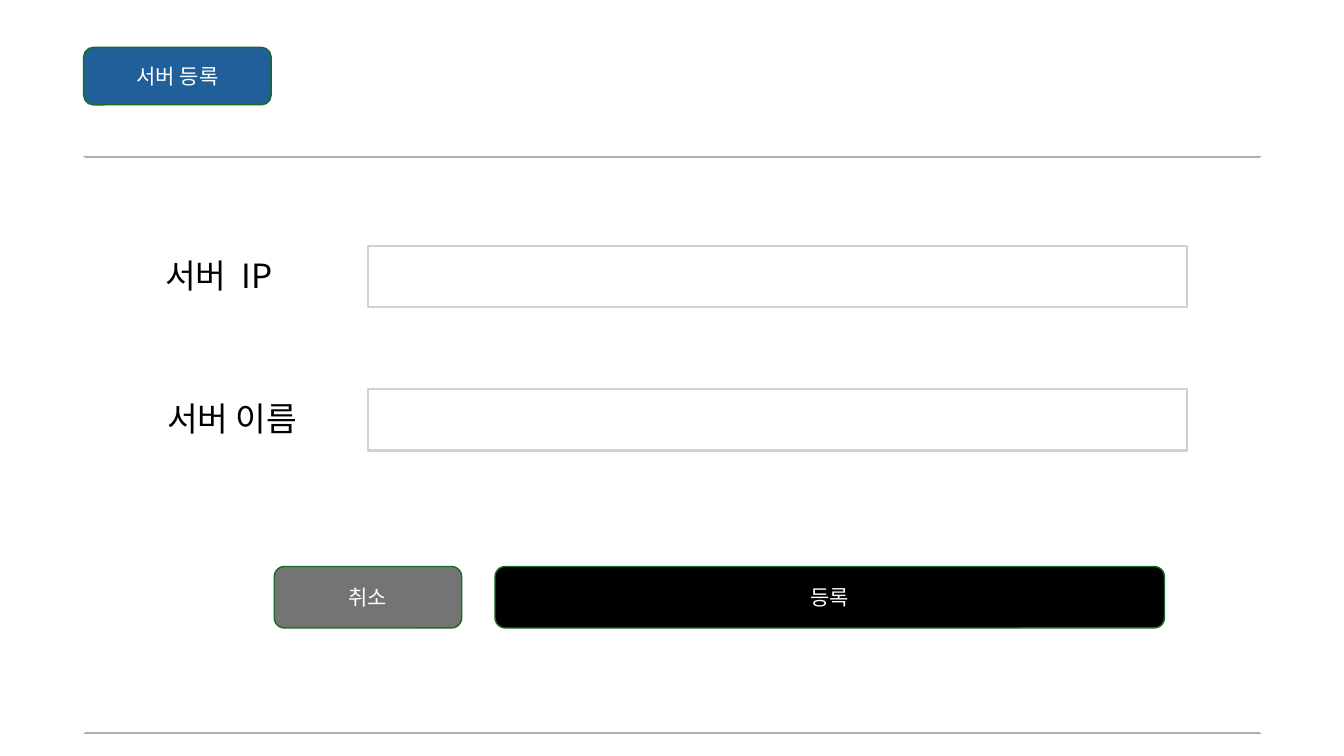
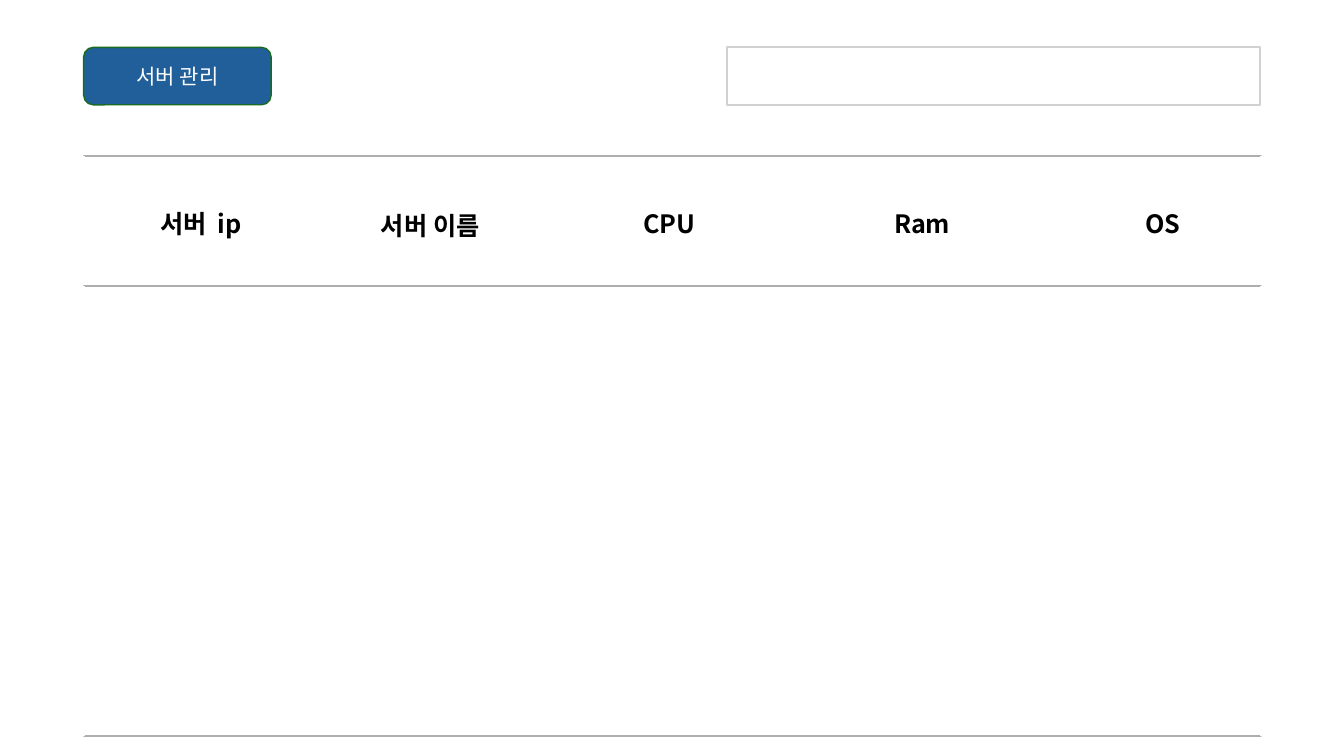
from lxml import etree
from pptx import Presentation
from pptx.dml.color import RGBColor
from pptx.enum.shapes import MSO_CONNECTOR, MSO_SHAPE
from pptx.enum.text import MSO_ANCHOR, MSO_AUTO_SIZE, PP_ALIGN
from pptx.oxml.ns import qn
from pptx.util import Emu, Inches, Pt

RECTANGLE = MSO_SHAPE.RECTANGLE
ROUNDED = MSO_SHAPE.ROUNDED_RECTANGLE
STRAIGHT = MSO_CONNECTOR.STRAIGHT
MIDDLE, TOP = MSO_ANCHOR.MIDDLE, MSO_ANCHOR.TOP
CENTER, LEFT = PP_ALIGN.CENTER, PP_ALIGN.LEFT
NO_AUTOFIT = MSO_AUTO_SIZE.NONE

FONT = "Noto Sans CJK KR"
WHITE = RGBColor(0xFF, 0xFF, 0xFF)
BLACK = RGBColor(0x00, 0x00, 0x00)
BLUE = RGBColor(0x21, 0x5F, 0x9A)
GREEN = RGBColor(0x19, 0x6B, 0x24)
GRAY = RGBColor(0x74, 0x74, 0x74)
PANEL_LINE = RGBColor(0xAE, 0xAE, 0xAE)
FIELD_LINE = RGBColor(0xD1, 0xD1, 0xD1)

TITLE_ONLY = 5
PANEL_LEFT, PANEL_WIDTH = 83, 1168
TITLE_BOX = (PANEL_LEFT, 47, 186, 57)


def px(length):
    """One px is a hundredth of an inch."""
    return Emu(length * 9144)


def add_run(paragraph, text, size, color, bold=False, spacing=0):
    run = paragraph.add_run()
    run.text = text
    font = run.font
    font.name, font.size, font.bold = FONT, Pt(size), bold
    font.color.rgb = color
    properties = font._element
    etree.SubElement(properties, qn("a:ea")).set("typeface", FONT)
    if spacing:
        properties.set("spc", str(round(spacing * 100)))


def prepare_frame(shape, anchor, alignment):
    frame = shape.text_frame
    frame.word_wrap = True
    frame.auto_size = NO_AUTOFIT
    frame.vertical_anchor = anchor
    frame.paragraphs[0].alignment = alignment
    return frame


def add_box(slide, kind, box, fill, line, line_width):
    shape = slide.shapes.add_shape(kind, *map(px, box))
    shape.shadow.inherit = False
    shape.fill.solid()
    shape.fill.fore_color.rgb = fill
    shape.line.color.rgb = line
    shape.line.width = Pt(line_width)
    return shape


def add_button(slide, box, fill, text):
    button = add_box(slide, ROUNDED, box, fill, GREEN, 1)
    frame = prepare_frame(button, MIDDLE, CENTER)
    add_run(frame.paragraphs[0], text, 15, WHITE)


def add_input(slide, box):
    add_box(slide, RECTANGLE, box, WHITE, FIELD_LINE, 1.5)


def add_label(slide, box, words, size, bold=False, gap=0):
    """Words are parted by one space, widened by gap points."""
    label = slide.shapes.add_textbox(*map(px, box))
    frame = prepare_frame(label, TOP, LEFT)
    frame.margin_right = 0
    for index, word in enumerate(words):
        if index:
            add_run(frame.paragraphs[0], " ", size, BLACK, bold, gap)
        add_run(frame.paragraphs[0], word, size, BLACK, bold)


def add_panel(slide, top, bottom):
    """A panel whose side borders are hidden by white lines."""
    box = (PANEL_LEFT, top, PANEL_WIDTH, bottom - top)
    add_box(slide, RECTANGLE, box, WHITE, PANEL_LINE, 1.5)
    for x in (PANEL_LEFT, PANEL_LEFT + PANEL_WIDTH):
        side = slide.shapes.add_connector(STRAIGHT, px(x), px(top), px(x), px(bottom))
        side.line.color.rgb = WHITE
        side.line.width = Pt(1.5)
        etree.SubElement(side._element.spPr, qn("a:effectLst"))


def add_titled_slide(presentation, text):
    slide = presentation.slides.add_slide(presentation.slide_layouts[TITLE_ONLY])
    badge = add_box(slide, ROUNDED, TITLE_BOX, BLUE, GREEN, 1)
    title = slide.shapes.title
    badge._element.addnext(title._element)
    title.left, title.top, title.width, title.height = map(px, TITLE_BOX)
    frame = prepare_frame(title, MIDDLE, CENTER)
    add_run(frame.paragraphs[0], text, 15, WHITE)
    return slide


def build_registration(presentation):
    slide = add_titled_slide(presentation, "서버 등록")
    add_panel(slide, 156, 727)

    # Form rows
    rows = ((154, ("서버", "IP"), 5.3), (156, ("서버", "이름"), 0))
    for index, (left, words, gap) in enumerate(rows):
        top = 244 + index * 142
        add_label(slide, (left, top + 4, 166, 53), words, 23.8, gap=gap)
        add_input(slide, (365, top, 812, 61))

    # Form buttons
    add_button(slide, (272, 562, 186, 61), GRAY, "취소")
    add_button(slide, (491, 562, 664, 61), BLACK, "등록")


def build_management(presentation):
    slide = add_titled_slide(presentation, "서버 관리")
    add_input(slide, (721, 47, 529, 57))
    add_panel(slide, 155, 284)
    add_panel(slide, 284, 730)

    # Column headings
    headings = (
        (149, 202, 105, ("서버", "ip"), 4),
        (368, 204, 129, ("서버", "이름"), 0),
        (628, 202, 76, ("CPU",), 0),
        (877, 202, 76, ("Ram",), 0),
        (1126, 202, 58, ("OS",), 0),
    )
    for left, top, width, words, gap in headings:
        add_label(slide, (left, top, width, 40), words, 18, bold=True, gap=gap)


def main():
    presentation = Presentation()
    presentation.slide_width = Inches(13.33)
    presentation.slide_height = Inches(7.5)
    build_registration(presentation)
    build_management(presentation)
    presentation.save("out.pptx")


if __name__ == "__main__":
    main()
